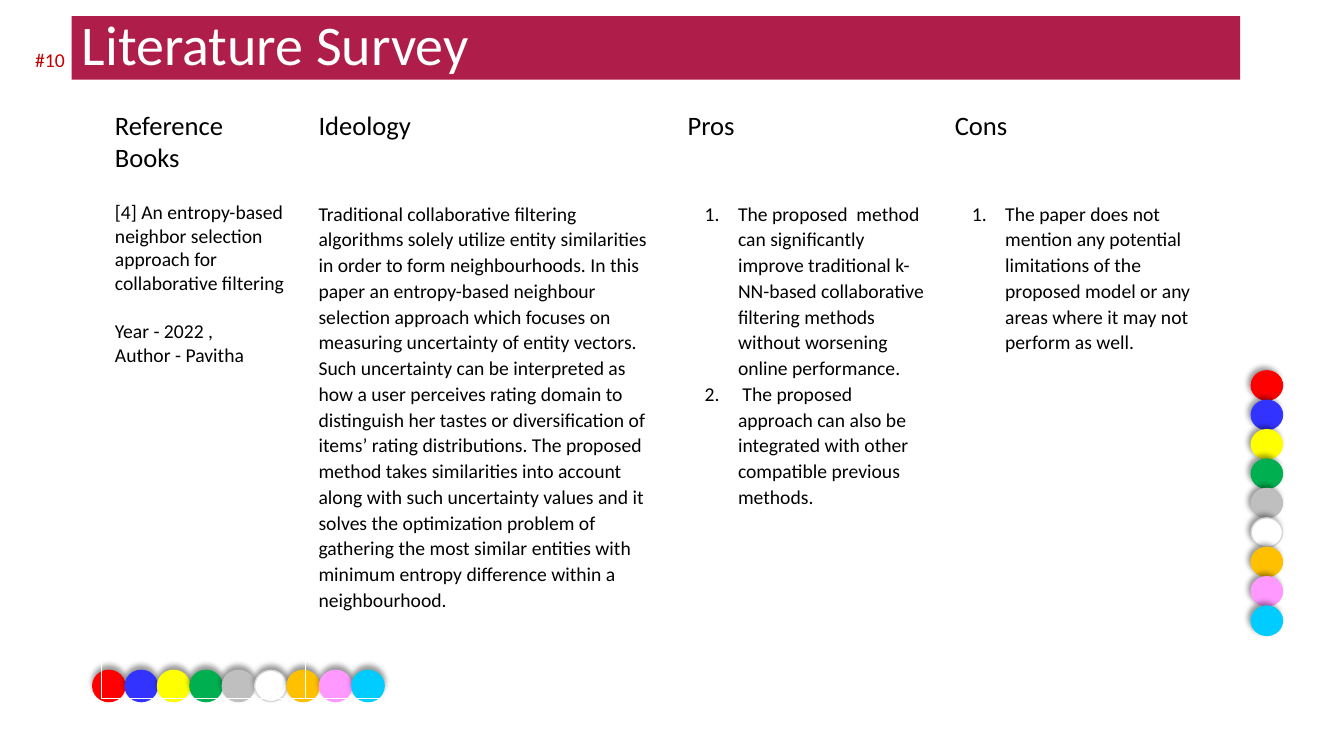
"""Build the Literature Survey slide, with lengths in percent of the slide's size."""
import pptx
import pptx.util
import pptx.dml.color
import pptx.enum.shapes
import pptx.enum.text
import lxml.etree

NS = "http://schemas.openxmlformats.org/drawingml/2006/main"
Pt = pptx.util.Pt

prs = pptx.Presentation()
prs.slide_width = pptx.util.Inches(13.33)
prs.slide_height = pptx.util.Inches(7.5)
s = prs.slides.add_slide(prs.slide_layouts[5])


def rgb(value):
    return pptx.dml.color.RGBColor.from_string(value)


def at(x, y, w, h):
    return [int(v * size / 100) for v, size in
            zip((x, y, w, h), (prs.slide_width, prs.slide_height) * 2)]


title = s.shapes.title
title.left, title.top, title.width, title.height = at(5.33, 2.13, 86.95, 8.4)
title.fill.solid()
title.fill.fore_color.rgb = rgb("AF1D4A")
tf = title.text_frame
tf.text = "Literature Survey"
tf.auto_size = pptx.enum.text.MSO_AUTO_SIZE.NONE
tf.vertical_anchor = pptx.enum.text.MSO_ANCHOR.MIDDLE
p = tf.paragraphs[0]
p.alignment = pptx.enum.text.PP_ALIGN.LEFT
p.line_spacing = 0.9
p.runs[0].font.name = "Calibri"
p.runs[0].font.size = Pt(40)
p.runs[0].font.color.rgb = rgb("FFFFFF")

dot_colors = ["FF0000", "3333FF", "FFFF00", "00B050", "BFBFBF",
              "FFFFFF", "FFC000", "FF99FF", "00CCFF"]
dot_strips = [
    (93.17, 48.93, 0, 3.89, 2.18, 90, 225),
    (6.9, 88.67, 2.41, 0, 2.4, 0, 270),
]
for x, y, dx, dy, width, rotation, direction in dot_strips:
    for i, color in enumerate(dot_colors):
        sp = s.shapes.add_shape(pptx.enum.shapes.MSO_SHAPE.FLOWCHART_CONNECTOR,
                                *at(x + i * dx, y + i * dy, width, 4.13))
        sp.rotation = rotation
        sp.fill.solid()
        sp.fill.fore_color.rgb = rgb(color)
        sp.line.color.rgb = rgb("D8D8D8" if color == "FFFFFF" else color)
        sp.line.width = Pt(1)
        sp.shadow.inherit = False
        effects = sp.element.spPr.find(f"{{{NS}}}effectLst")
        effects.append(lxml.etree.fromstring(
            f'<a:outerShdw xmlns:a="{NS}" blurRad="{Pt(4)}" dist="{Pt(3)}" '
            f'dir="{direction * 60000}" rotWithShape="0"><a:srgbClr val="000000">'
            '<a:alpha val="40000"/></a:srgbClr></a:outerShdw>'))

columns = [
    (15.15, "Reference Books", False,
     ["[4] An entropy-based neighbor selection approach for collaborative filtering",
      "Year - 2022 ,\vAuthor - Pavitha"]),
    (27.46, "Ideology", False,
     ["Traditional collaborative filtering algorithms solely utilize entity "
      "similarities in order to form neighbourhoods. In this paper an entropy-based "
      "neighbour selection approach which focuses on measuring uncertainty of entity "
      "vectors. Such uncertainty can be interpreted as how a user perceives rating "
      "domain to distinguish her tastes or diversification of items’ rating "
      "distributions. The proposed method takes similarities into account along with "
      "such uncertainty values and it solves the optimization problem of gathering the "
      "most similar entities with minimum entropy difference within a neighbourhood."]),
    (19.88, "Pros", True,
     ["The proposed  method can significantly improve traditional k-NN-based "
      "collaborative filtering methods without worsening online performance.",
      " The proposed approach can also be integrated with other compatible previous "
      "methods."]),
    (19.88, "Cons", True,
     ["The paper does not mention any potential limitations of the proposed model or "
      "any areas where it may not perform as well."]),
]
table = s.shapes.add_table(2, len(columns), *at(7.58, 12.8, 82.37, 75.6)).table
table.first_row = False
table.horz_banding = False
for row, share in zip(table.rows, (8, 67.6)):
    row.height = int(prs.slide_height * share / 100)

for c, (width, heading, numbered, body) in enumerate(columns):
    table.columns[c].width = int(prs.slide_width * width / 100)
    for r, (lines, size) in enumerate([([heading], 19), (body, 14)]):
        cell = table.cell(r, c)
        cell.fill.background()
        cell.margin_left = cell.margin_right = pptx.util.Inches(0.13)
        cell.margin_top = cell.margin_bottom = pptx.util.Inches(0.13)
        cell.text_frame.text = "\n".join(lines)
        for i, p in enumerate(cell.text_frame.paragraphs):
            if r and c:
                p.line_spacing = 1.08
            elif i:
                p.space_before = Pt(17)
            if r and numbered:
                pPr = p._p.get_or_add_pPr()
                pPr.set("marL", str(pptx.util.Inches(0.5)))
                pPr.set("indent", str(pptx.util.Inches(-0.33)))
                lxml.etree.SubElement(pPr, f"{{{NS}}}buAutoNum", type="arabicPeriod")
            for run in p.runs:
                run.font.name = "Calibri"
                run.font.size = Pt(size)
                run.font.color.rgb = rgb("000000")

number = s.shapes.add_textbox(*at(1.88, 5.2, 22.5, 5.33))
tf = number.text_frame
tf.word_wrap = True
tf.vertical_anchor = pptx.enum.text.MSO_ANCHOR.MIDDLE
tf.text = "#10"
font = tf.paragraphs[0].runs[0].font
font.name = "Calibri"
font.size = Pt(14)
font.color.rgb = rgb("C00000")

prs.save("out.pptx")
